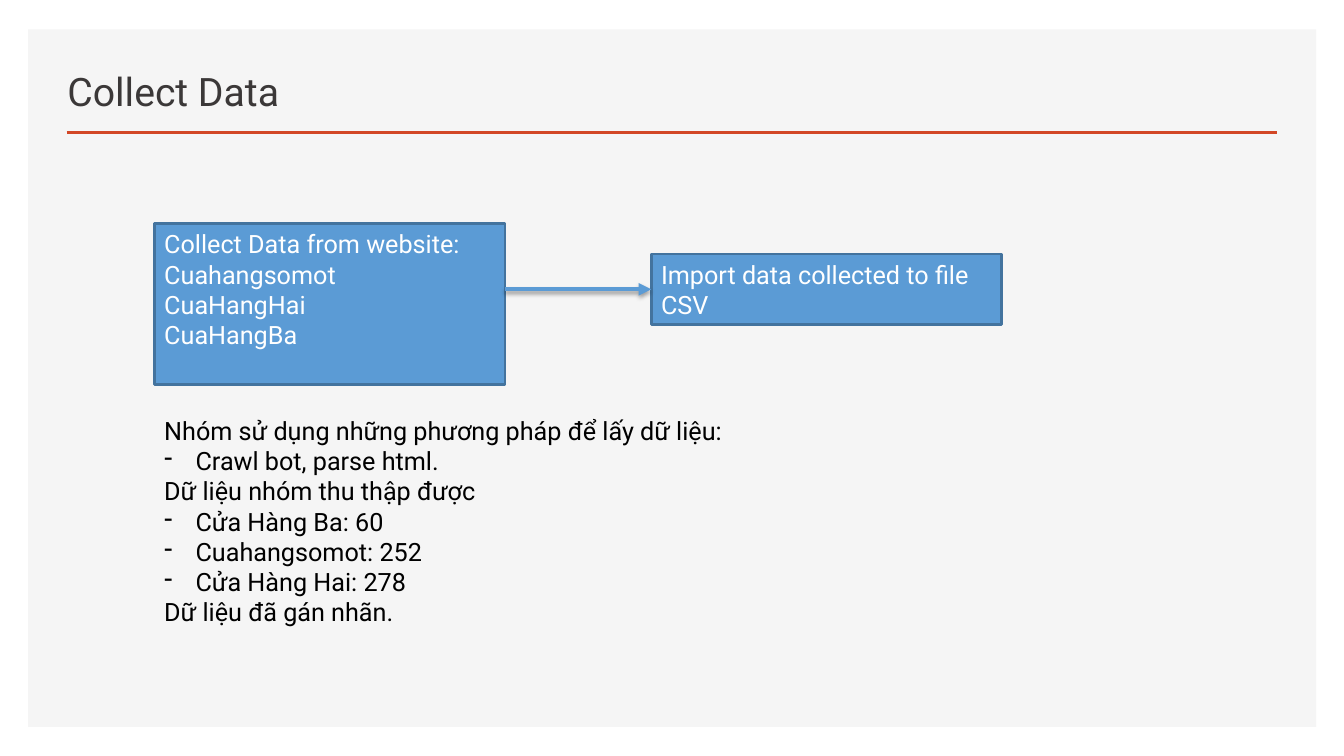
from dataclasses import dataclass

from lxml.etree import SubElement
from pptx import Presentation
from pptx.dml.color import RGBColor
from pptx.enum.shapes import MSO_CONNECTOR, MSO_SHAPE
from pptx.enum.text import MSO_ANCHOR, PP_ALIGN
from pptx.oxml.ns import qn
from pptx.util import Cm, Pt


@dataclass(frozen=True)
class Theme:
    font: str = "Roboto"
    title_size: int = 28
    text_size: int = 18
    panel: str = "F5F5F5"
    rule: str = "D24726"
    title: str = "3B3838"
    box: str = "5B9BD5"
    box_line: str = "43739E"
    box_text: str = "FFFFFF"
    text: str = "000000"


theme = Theme()


def write(shape, lines, size, color, anchor=MSO_ANCHOR.TOP):
    """Fill the shape with one paragraph per line; lines starting with "- " become bullets."""
    frame = shape.text_frame
    frame.word_wrap = True
    frame.vertical_anchor = anchor
    for number, line in enumerate(lines):
        para = frame.add_paragraph() if number else frame.paragraphs[0]
        para.alignment = PP_ALIGN.LEFT
        span = para.add_run()
        span.text = line.removeprefix("- ")
        span.font.name = theme.font
        span.font.size = Pt(size)
        span.font.color.rgb = RGBColor.from_string(color)
        if line.startswith("- "):
            properties = para._p.get_or_add_pPr()
            properties.set("marL", str(Cm(0.79)))
            properties.set("indent", str(-Cm(0.79)))
            SubElement(properties, qn("a:buChar"), char="-")


def draw_line(left, right, top, color, width):
    """Draw a horizontal connector and return it with its empty effect list."""
    line = page.shapes.add_connector(
        MSO_CONNECTOR.STRAIGHT, Cm(left), Cm(top), Cm(right), Cm(top))
    line.line.color.rgb = RGBColor.from_string(color)
    line.line.width = Pt(width)
    effects = SubElement(line._element.spPr, qn("a:effectLst"))
    return line, effects


deck = Presentation()
deck.slide_width, deck.slide_height = Cm(33.87), Cm(19.05)
page = deck.slides.add_slide(deck.slide_layouts[6])

# Panel and title
panel = page.shapes.add_shape(MSO_SHAPE.RECTANGLE, Cm(0.71), Cm(0.74), Cm(32.46), Cm(17.58))
panel.shadow.inherit = False
panel.fill.solid()
panel.fill.fore_color.rgb = RGBColor.from_string(theme.panel)
panel.line.fill.background()

draw_line(1.68, 32.18, 3.33, theme.rule, 2)
title = page.shapes.add_textbox(Cm(1.45), Cm(1.24), Cm(19.1), Cm(1.78))
write(title, ["Collect Data"], theme.title_size, theme.title, MSO_ANCHOR.BOTTOM)

# Two steps of the flow
steps = [
    (3.89, 5.64, 4.06, ["Collect Data from website:", "Cuahangsomot", "CuaHangHai", "CuaHangBa"]),
    (16.41, 6.4, 1.78, ["Import data collected to file CSV"]),
]
for left, top, height, lines in steps:
    box = page.shapes.add_shape(MSO_SHAPE.RECTANGLE, Cm(left), Cm(top), Cm(8.84), Cm(height))
    box.shadow.inherit = False
    box.fill.solid()
    box.fill.fore_color.rgb = RGBColor.from_string(theme.box)
    box.line.color.rgb = RGBColor.from_string(theme.box_line)
    box.line.width = Pt(2)
    write(box, lines, theme.text_size, theme.box_text)

# The arrow ends at the last box, the import step
arrow, effects = draw_line(12.73, 16.41, 7.29, theme.box, 3)
arrow.end_connect(box, 1)
SubElement(arrow.line._get_or_add_ln(), qn("a:tailEnd"), type="triangle")
shadow = SubElement(effects, qn("a:outerShdw"), blurRad=str(Pt(3.1)), dist=str(Pt(1.8)),
                    dir="5400000", rotWithShape="0")
shade = SubElement(shadow, qn("a:srgbClr"), val=theme.text)
SubElement(shade, qn("a:alpha"), val="35000")

# Methods and results
notes = page.shapes.add_textbox(Cm(3.89), Cm(10.34), Cm(25.91), Cm(5.59))
write(notes, [
    "Nhóm sử dụng những phương pháp để lấy dữ liệu:",
    "- Crawl bot, parse html.",
    "Dữ liệu nhóm thu thập được",
    "- Cửa Hàng Ba: 60",
    "- Cuahangsomot: 252",
    "- Cửa Hàng Hai: 278",
    "Dữ liệu đã gán nhãn.",
], theme.text_size, theme.text)

deck.save("out.pptx")
